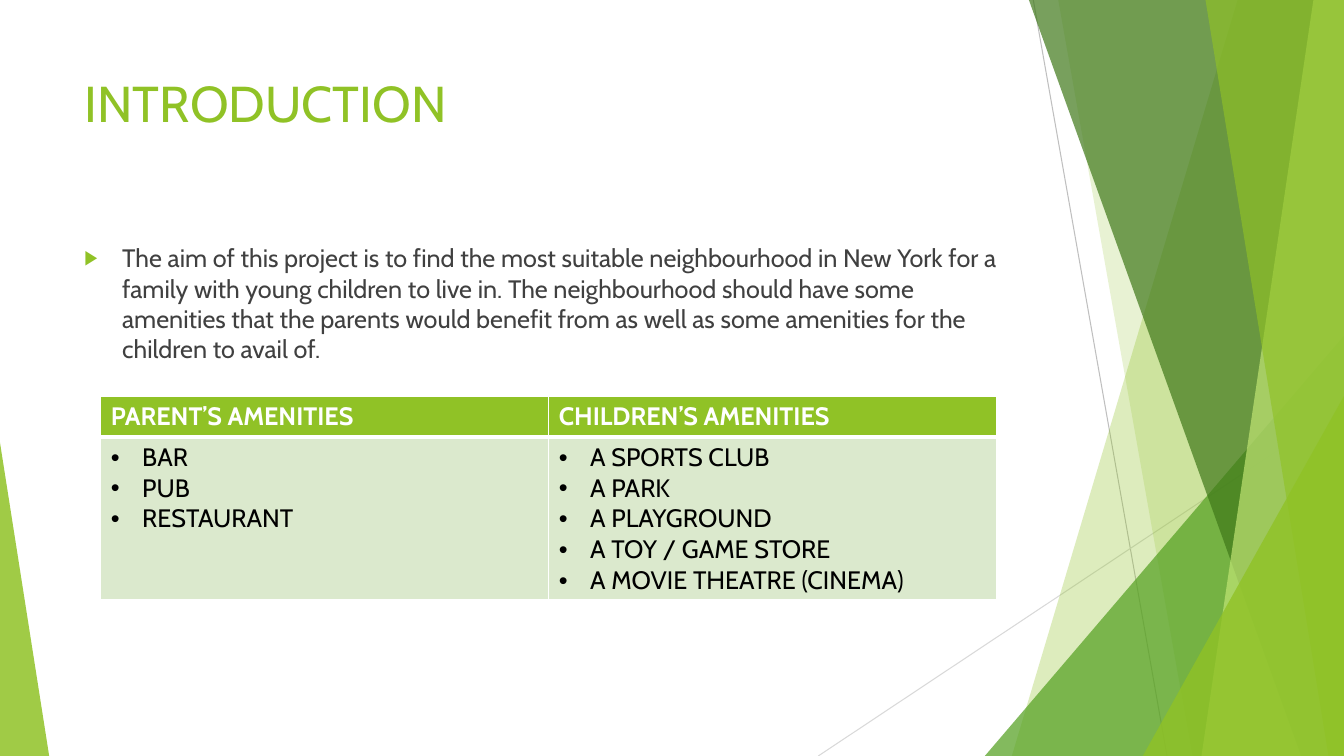
"""Builds the introduction slide with its faceted green frame and amenities table."""
from lxml.etree import SubElement
from pptx import Presentation
from pptx.dml.color import RGBColor
from pptx.enum.shapes import MSO_CONNECTOR, MSO_SHAPE
from pptx.enum.text import MSO_ANCHOR
from pptx.oxml.ns import qn
from pptx.util import Cm, Pt

WIDE, HIGH = 33.87, 19.05
HUES = {
    "lime": "90C226", "leaf": "54A021", "moss": "3F7819", "pale": "C0E474",
    "mint": "DBE9CD", "text": "404040", "black": "000000", "white": "FFFFFF",
    "grey": "BFBFBF", "mist": "D9D9D9",
}
LINES = [("grey", 26.04, 0, 29.41, HIGH), ("mist", WIDE, 10.24, 20.62, HIGH)]
BACK = [("lime", 30, 31.19, 25.5), ("lime", 20, 26.67, 30.05)]
FRONT = [("moss", 70, 25.93, 32.79), ("pale", 70, 33.1, 30.28), ("lime", 65, 30.38, 33.48)]
LEAF = ("leaf", 72, 24.82, 8.46, 9.05, 1)
CORNERS = [("lime", 80, 28.8, 9.98, 5.07, 1), ("lime", 85, 0, 11.15, 1.24, 0)]
AIM = (
    "The aim of this project is to find the most suitable neighbourhood in New York "
    "for a family with young children to live in. The neighbourhood should have some "
    "amenities that the parents would benefit from as well as some amenities for the "
    "children to avail of."
)
NEEDS = {
    "PARENT’S AMENITIES": ["BAR", "PUB", "RESTAURANT"],
    "CHILDREN’S AMENITIES": [
        "A SPORTS CLUB", "A PARK", "A PLAYGROUND", "A TOY / GAME STORE",
        "A MOVIE THEATRE (CINEMA)",
    ],
}


class Deck:
    """Holds the style and the current slide, and draws each kind of element."""

    def __init__(self):
        """Opens a blank wide slide."""
        self.show = Presentation()
        self.show.slide_width, self.show.slide_height = Cm(WIDE), Cm(HIGH)
        self.slide = self.show.slides.add_slide(self.show.slide_layouts[6])
        self.shapes = self.slide.shapes
        self.font = "Cabin"

    def hue(self, name):
        """Looks up a colour."""
        return RGBColor.from_string(HUES[name])

    def paint(self, shape, name, alpha):
        """Fills a shape with a see-through colour and no outline."""
        shape.shadow.inherit = False
        shape.fill.solid()
        shape.fill.fore_color.rgb = self.hue(name)
        shape.line.fill.background()
        tint = next(shape.element.spPr.iter(qn("a:srgbClr")))
        SubElement(tint, qn("a:alpha"), val=str(alpha * 1000))

    def line(self, name, *ends):
        """Draws a thin straight line."""
        line = self.shapes.add_connector(MSO_CONNECTOR.STRAIGHT, *map(Cm, ends))
        line.line.color.rgb = self.hue(name)
        line.line.width = Pt(0.75)
        SubElement(line.element.spPr, qn("a:effectLst"))

    def facet(self, name, alpha, top, base):
        """Draws a slanted pane that runs to the right edge."""
        pen = self.shapes.build_freeform(Cm(top), 0)
        ends = [(WIDE, 0), (WIDE, HIGH), (base, HIGH)]
        pen.add_line_segments([(Cm(x), Cm(y)) for x, y in ends], close=True)
        self.paint(pen.convert_to_shape(), name, alpha)

    def corner(self, name, alpha, left, top, width, peak):
        """Draws a right triangle that stands on the bottom edge."""
        box = map(Cm, (left, top, width, HIGH - top))
        shape = self.shapes.add_shape(MSO_SHAPE.ISOSCELES_TRIANGLE, *box)
        shape.adjustments[0] = peak
        self.paint(shape, name, alpha)

    def fill(self, frame, lines, name, size=18, bold=False, mark=None, step=0):
        """Sets paragraphs in a frame, with bullets if a mark is given."""
        frame.word_wrap = True
        form = {"name": self.font, "size": Pt(size), "bold": bold}
        for spot, words in enumerate(lines):
            para = frame.add_paragraph() if spot else frame.paragraphs[0]
            run = para.add_run()
            run.text = words
            for key, value in form.items():
                setattr(run.font, key, value)
            run.font.color.rgb = self.hue(name)
            if mark:
                self.bullet(para, mark, step)

    def bullet(self, para, mark, step):
        """Gives a paragraph a hanging bullet."""
        props = para._p.get_or_add_pPr()
        props.set("marL", str(Cm(step)))
        props.set("indent", str(-Cm(step)))
        if mark == "▶":
            tint = SubElement(props, qn("a:buClr"))
            SubElement(tint, qn("a:srgbClr"), val=HUES["lime"])
            SubElement(props, qn("a:buSzPct"), val="80000")
        SubElement(props, qn("a:buFont"), typeface="Arial")
        SubElement(props, qn("a:buChar"), char=mark)

    def text(self, box, lines, name, **form):
        """Adds a text box anchored at the top."""
        frame = self.shapes.add_textbox(*map(Cm, box)).text_frame
        frame.vertical_anchor = MSO_ANCHOR.TOP
        self.fill(frame, lines, name, **form)

    def cell(self, cell, fill, base):
        """Sets the white borders and the fill of a cell."""
        props = cell._tc.get_or_add_tcPr()
        for side, width in {"L": 1, "R": 1, "T": 1, "B": base}.items():
            edge = SubElement(props, qn(f"a:ln{side}"), w=str(Pt(width)))
            solid = SubElement(edge, qn("a:solidFill"))
            SubElement(solid, qn("a:srgbClr"), val=HUES["white"])
        cell.fill.solid()
        cell.fill.fore_color.rgb = self.hue(fill)

    def table(self, box, rows, data):
        """Adds a table with one headed list in each column."""
        table = self.shapes.add_table(2, len(data), *map(Cm, box)).table
        for row, height in zip(table.rows, rows):
            row.height = Cm(height)
        for spot, (head, items) in enumerate(data.items()):
            top, body = table.cell(0, spot), table.cell(1, spot)
            self.cell(top, "lime", 3)
            self.cell(body, "mint", 1)
            self.fill(top.text_frame, [head], "white", bold=True)
            self.fill(body.text_frame, items, "black", mark="•", step=0.79)


def main():
    """Draws the slide and saves it."""
    deck = Deck()
    for line in LINES:
        deck.line(*line)
    for pane in BACK:
        deck.facet(*pane)
    deck.corner(*LEAF)
    for pane in FRONT:
        deck.facet(*pane)
    for part in CORNERS:
        deck.corner(*part)
    deck.text((1.88, 1.7, 23.88, 3.66), ["INTRODUCTION"], "lime", size=36)
    deck.text((1.88, 5.99, 23.88, 10.77), [AIM], "text", mark="▶", step=0.95)
    deck.table((2.54, 9.98, 22.58, 5.13), (1.03, 4.1), NEEDS)
    deck.show.save("out.pptx")


if __name__ == "__main__":
    main()
